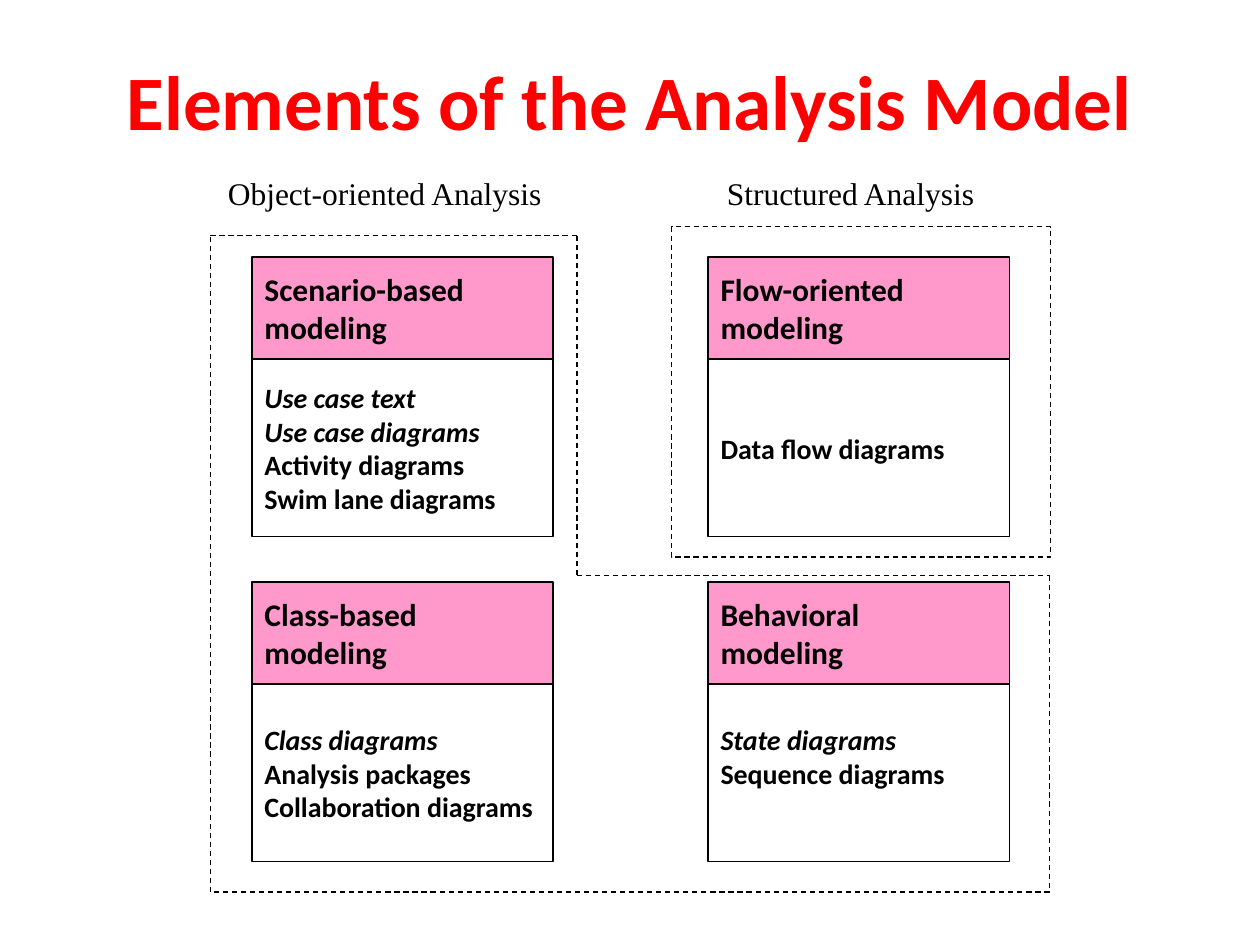
from itertools import pairwise

from lxml import etree
from pptx import Presentation
from pptx.dml.color import RGBColor
from pptx.enum import dml, shapes, text
from pptx.oxml.ns import qn
from pptx.util import Inches, Pt

COLORS = {"title": "FF0000", "ink": "000000", "head": "FF99CC", "body": "FFFFFF"}
SANS, SERIF = "Calibri", "Times New Roman"
WIDE, HEAD, BODY = 2.39, 0.81, 1.41
COLS, ROWS = (2, 5.62), (2.04, 4.62)
LINE = 16 * 1.2 / 72  # height of one body line, in inches

# column, row, heading, italic lines, upright lines, lines of lift
CARDS = [
    (0, 0, "Scenario-based\nmodeling", ["Use case text", "Use case diagrams"],
     ["Activity diagrams", "Swim lane diagrams"], 0),
    (0, 1, "Class-based\nmodeling", ["Class diagrams"],
     ["Analysis packages", "Collaboration diagrams"], 0),
    (1, 0, "Flow-oriented\nmodeling", [], ["Data flow diagrams"], 0),
    (1, 1, "Behavioral\nmodeling", ["State diagrams"], ["Sequence diagrams"], 1),
]


def tint(name):
    return RGBColor.from_string(COLORS[name])


class Deck:
    def __init__(self):
        self.prs = Presentation()
        self.prs.slide_width, self.prs.slide_height = Inches(10), Inches(7.5)
        self.slide = self.prs.slides.add_slide(self.prs.slide_layouts[5])

    def style(self, frame, size, font=SANS, bold=True, color="ink", slant=0):
        """Format every run; the first `slant` paragraphs are italic."""
        for i, para in enumerate(frame.paragraphs):
            for run in para.runs:
                f = run.font
                f.name, f.size, f.bold, f.italic = font, Pt(size), bold, i < slant
                f.color.rgb = tint(color)

    def stroke(self, line, dash=False):
        line.color.rgb = tint("ink")
        line.width = Pt(0.75)
        if dash:
            line.dash_style = dml.MSO_LINE.DASH

    def title(self, words):
        box = self.slide.shapes.title
        box.left, box.top = Inches(0.75), Inches(0.17)
        box.width, box.height = Inches(8.5), Inches(1.25)
        frame = box.text_frame
        frame.text = words
        frame.vertical_anchor = text.MSO_ANCHOR.MIDDLE
        frame.paragraphs[0].alignment = text.PP_ALIGN.CENTER
        self.style(frame, 44, color="title")

    def label(self, words, x, y, w):
        box = self.slide.shapes.add_textbox(Inches(x), Inches(y), Inches(w), Inches(0.4))
        frame = box.text_frame
        frame.word_wrap = True
        frame.text = words
        self.style(frame, 18, SERIF, bold=False)

    def rect(self, x, y, w, h, fill=None, dash=False, home=None):
        """Draw a box on the slide, or in the group `home`."""
        box = (home or self.slide).shapes.add_shape(
            shapes.MSO_SHAPE.RECTANGLE, Inches(x), Inches(y), Inches(w), Inches(h))
        box.shadow.inherit = False
        if fill:
            box.fill.solid()
            box.fill.fore_color.rgb = tint(fill)
        else:
            box.fill.background()
        self.stroke(box.line, dash)
        return box

    def fill(self, box, words, size, slant=0, lift=0):
        frame = box.text_frame
        frame.word_wrap = True
        frame.vertical_anchor = text.MSO_ANCHOR.MIDDLE
        frame.margin_bottom = Inches(0.05 + lift * LINE)
        frame.text = words
        for para in frame.paragraphs:
            para.alignment = text.PP_ALIGN.LEFT
        self.style(frame, size, slant=slant)

    def card(self, x, y, head, slanted, plain, lift):
        group = self.slide.shapes.add_group_shape()
        body = self.rect(x, y + HEAD, WIDE, BODY, "body", home=group)
        self.fill(body, "\n".join(slanted + plain), 16, len(slanted), lift)
        self.fill(self.rect(x, y, WIDE, HEAD, "head", home=group), head, 18)

    def dash(self, start, end):
        line = self.slide.shapes.add_connector(
            shapes.MSO_CONNECTOR.STRAIGHT, *map(Inches, start + end))
        self.stroke(line.line, dash=True)
        etree.SubElement(line._element.spPr, qn("a:effectLst"))


def main():
    deck = Deck()
    deck.title("Elements of the Analysis Model")
    for col, row, *rest in CARDS:
        deck.card(COLS[col], ROWS[row], *rest)

    deck.rect(5.33, 1.8, 3.01, 2.62, dash=True)
    deck.label("Structured Analysis", 5.67, 1.33, 2.31)

    left, mid, right = 1.67, 4.58, 8.33
    top, step, foot = 1.87, 4.57, 7.08
    edge = [(left, top), (mid, top), (mid, step), (right, step),
            (right, foot), (left, foot), (left, top)]
    for start, end in pairwise(edge):
        deck.dash(start, end)
    deck.label("Object-oriented Analysis", 1.71, 1.33, 2.88)

    deck.prs.save("out.pptx")


if __name__ == "__main__":
    main()
